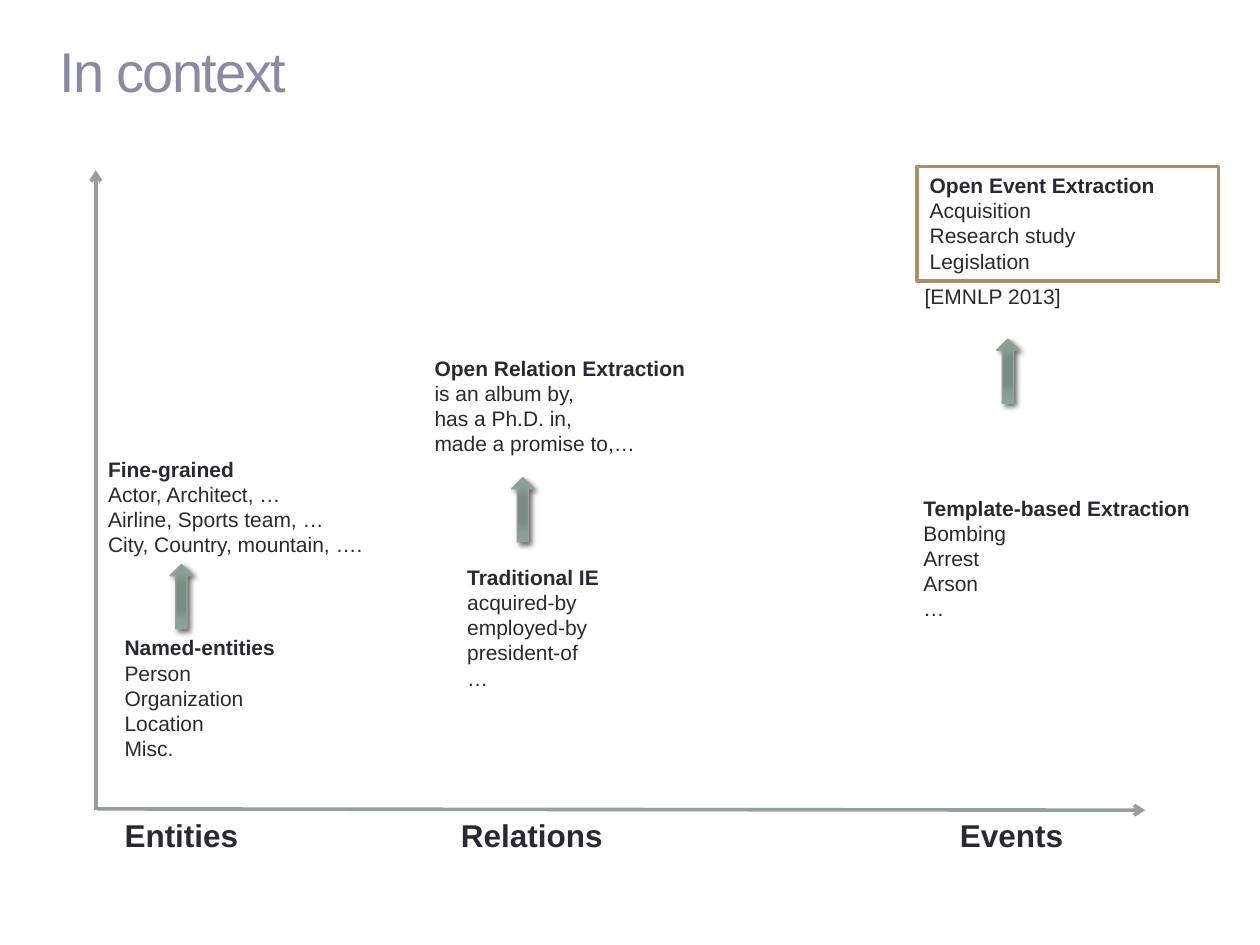
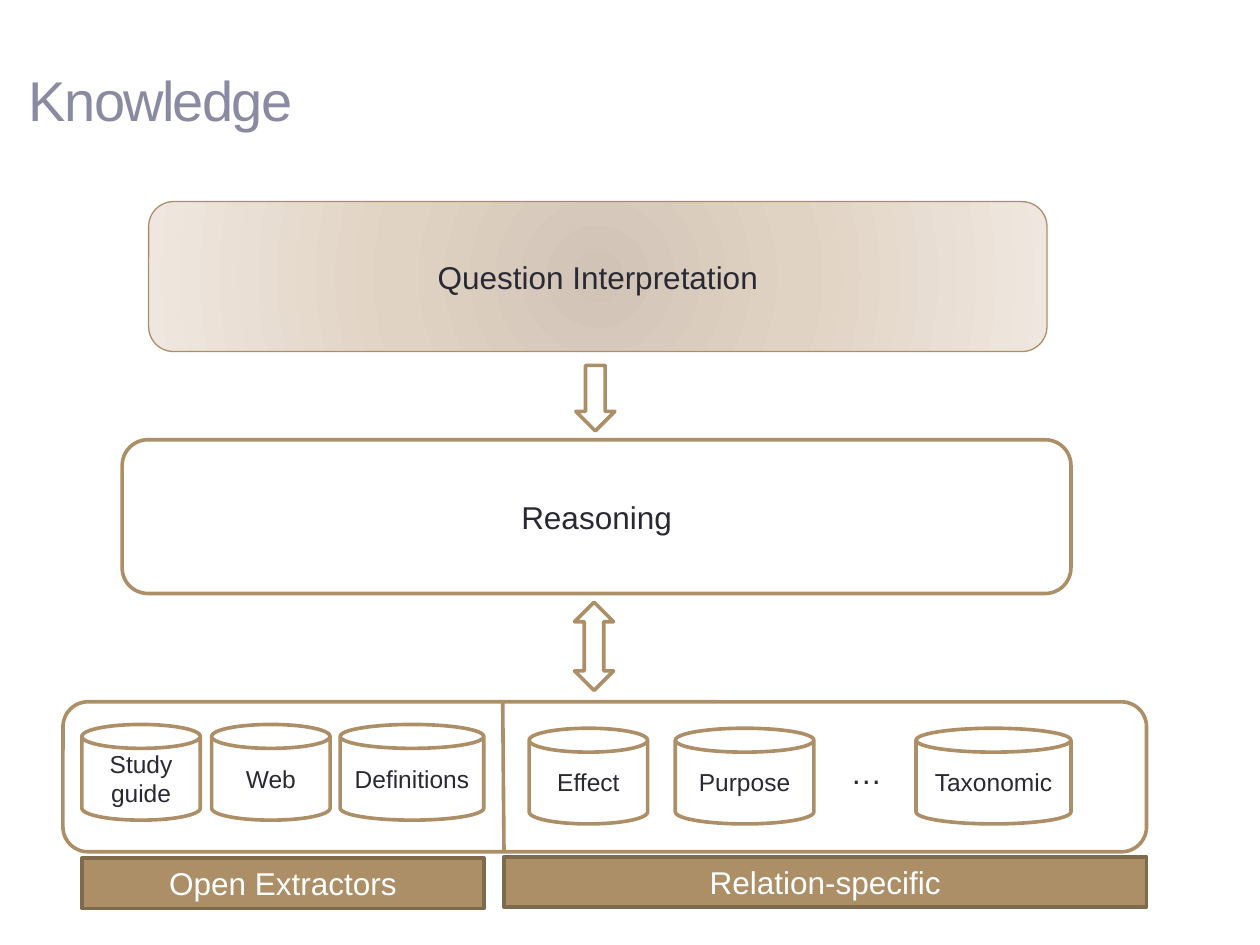
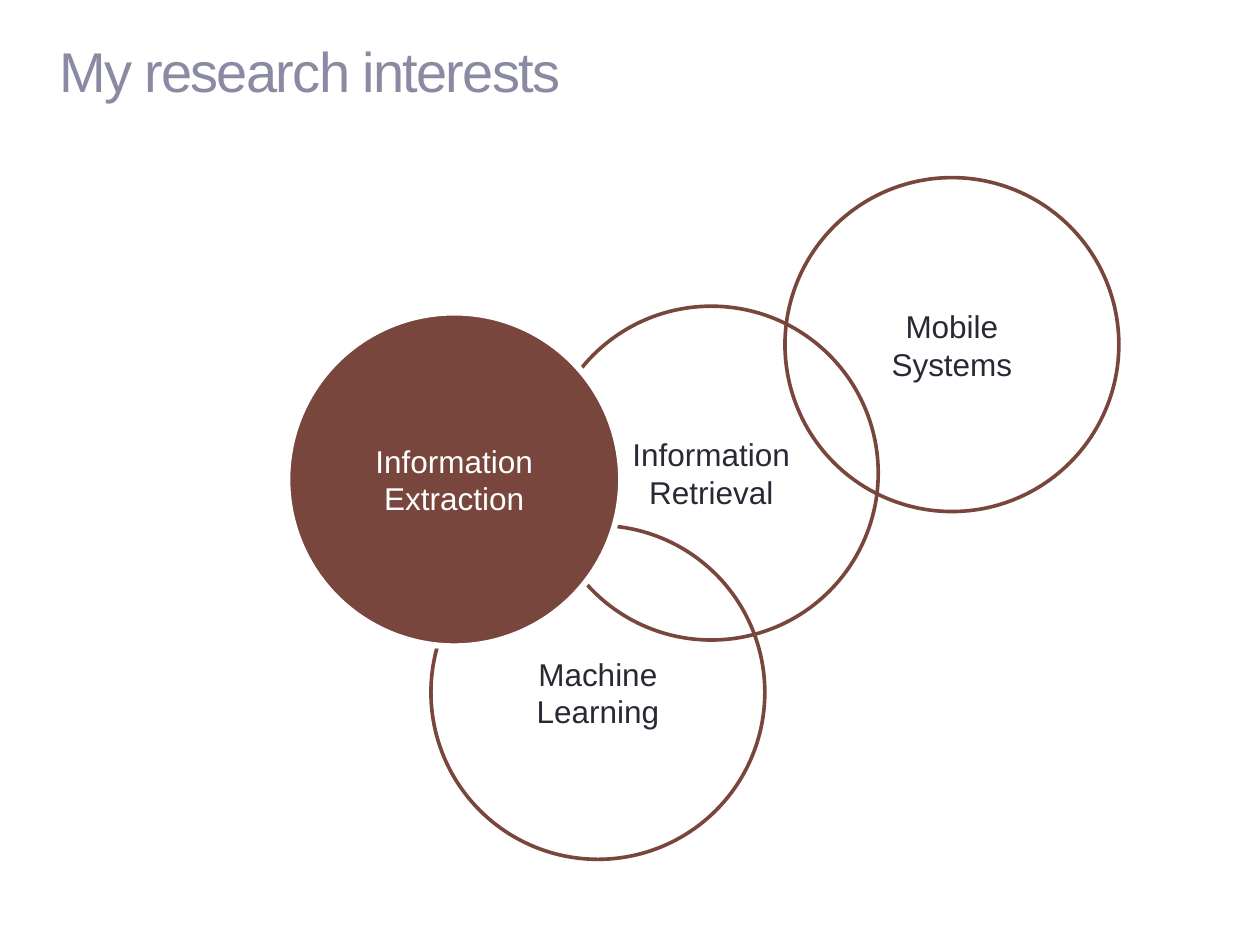
"""Build three slides on information extraction: context, knowledge and interests."""
from dataclasses import dataclass, field, replace
from typing import Any, Optional

from pptx import Presentation
from pptx.dml.color import RGBColor
from pptx.enum.shapes import MSO_CONNECTOR, MSO_SHAPE
from pptx.enum.text import MSO_ANCHOR, MSO_AUTO_SIZE, PP_ALIGN
from pptx.oxml import parse_xml
from pptx.oxml.ns import nsdecls, qn
from pptx.util import Inches, Pt

Stops = tuple[tuple[int, str], ...]


@dataclass(frozen=True)
class Theme:
    font: str = "Arial"
    title: str = "8A8AA3"
    text: str = "292934"
    white: str = "FFFFFF"
    sage: str = "93A299"
    tan: str = "AD8F67"
    dark_tan: str = "806A4C"
    brown: str = "79463D"
    title_size: float = 32
    label_size: float = 18
    can_size: float = 14
    note_size: float = 12
    line_width: float = 2.08
    thin_width: float = 0.75
    halo_width: float = 3.5
    sage_stops: Stops = ((0, "7B8E82"), (34, "7B8D83"), (70, "8A9E92"), (100, "93A299"))
    tan_stops: Stops = ((0, "D1C4B6"), (45, "E1D3C4"), (100, "EFE7DF"))


THEME = Theme()


@dataclass(frozen=True)
class Style:
    size: float = THEME.label_size
    color: str = THEME.text
    bold: bool = False
    bold_first: bool = False
    align: Any = PP_ALIGN.CENTER
    anchor: Any = MSO_ANCHOR.MIDDLE
    fill: Optional[str] = None
    stops: Stops = ()
    line: Optional[str] = None
    line_width: float = THEME.line_width
    shadow: bool = False


@dataclass(frozen=True)
class Box:
    left: float
    top: float
    width: float
    height: float
    lines: tuple[str, ...] = ()
    style: Style = field(default_factory=Style)
    shape: Any = None


@dataclass(frozen=True)
class Line:
    start: tuple[float, float]
    end: tuple[float, float]
    color: str
    arrow: bool = False


AXIS_LABEL = Style(bold=True, align=PP_ALIGN.LEFT, anchor=MSO_ANCHOR.TOP)
NOTE = replace(AXIS_LABEL, size=THEME.note_size, bold=False)
TOPIC = replace(NOTE, bold_first=True)
FRAMED_TOPIC = replace(TOPIC, fill=THEME.white, line=THEME.tan)
STEP_ARROW = Style(stops=THEME.sage_stops, line=THEME.sage, line_width=THEME.thin_width, shadow=True)
OUTLINED = Style(fill=THEME.white, line=THEME.tan)
CAN = replace(OUTLINED, size=THEME.can_size)
GLOW = Style(stops=THEME.tan_stops, line=THEME.tan, line_width=THEME.thin_width)
CAPTION = Style(color=THEME.white, fill=THEME.tan, line=THEME.dark_tan, anchor=MSO_ANCHOR.TOP)
RING = Style(line=THEME.brown)
DISC = Style(color=THEME.white, fill=THEME.brown, line=THEME.white, line_width=THEME.halo_width)


def rgb(value: str) -> RGBColor:
    return RGBColor.from_string(value)


def write_text(tf: Any, lines: tuple[str, ...], style: Style) -> None:
    frame_format = {
        "word_wrap": True,
        "auto_size": MSO_AUTO_SIZE.NONE,
        "vertical_anchor": style.anchor,
    }
    for name, value in frame_format.items():
        setattr(tf, name, value)
    for i, line in enumerate(lines):
        p = tf.paragraphs[0] if i == 0 else tf.add_paragraph()
        p.alignment = style.align
        r = p.add_run()
        r.text = line
        bold = style.bold or (style.bold_first and i == 0)
        run_format = {"name": THEME.font, "size": Pt(style.size), "bold": bold}
        for name, value in run_format.items():
            setattr(r.font, name, value)
        r.font.color.rgb = rgb(style.color)


def set_radial_fill(sp: Any, stops: Stops) -> None:
    marks = "".join(
        f'<a:gs pos="{pos * 1000}"><a:srgbClr val="{color}"/></a:gs>' for pos, color in stops
    )
    gradient = parse_xml(
        f'<a:gradFill rotWithShape="1" {nsdecls("a")}><a:gsLst>{marks}</a:gsLst>'
        '<a:path path="circle"><a:fillToRect l="100000" t="100000" r="100000" b="100000"/>'
        "</a:path></a:gradFill>"
    )
    sp.fill.background()
    properties = sp.element.spPr
    properties.replace(properties.find(qn("a:noFill")), gradient)


def add_shadow(sp: Any) -> None:
    sp.element.spPr.find(qn("a:effectLst")).append(parse_xml(
        f'<a:outerShdw {nsdecls("a")} blurRad="{Pt(3)}" dist="{Pt(2)}" dir="2700000" '
        'algn="tl" rotWithShape="0"><a:srgbClr val="000000"><a:alpha val="60000"/>'
        "</a:srgbClr></a:outerShdw>"
    ))


def draw_box(s: Any, box: Box) -> None:
    bounds = [Inches(v) for v in (box.left, box.top, box.width, box.height)]
    style = box.style
    if box.shape is None:
        sp = s.shapes.add_textbox(*bounds)
    else:
        sp = s.shapes.add_shape(box.shape, *bounds)
        sp.shadow.inherit = False
        if style.stops:
            set_radial_fill(sp, style.stops)
        elif style.fill:
            sp.fill.solid()
            sp.fill.fore_color.rgb = rgb(style.fill)
        else:
            sp.fill.background()
        sp.line.color.rgb = rgb(style.line)
        sp.line.width = Pt(style.line_width)
        if style.shadow:
            add_shadow(sp)
    if box.lines:
        write_text(sp.text_frame, box.lines, style)


def draw_line(s: Any, line: Line) -> None:
    ends = [Inches(v) for v in (*line.start, *line.end)]
    cxn = s.shapes.add_connector(MSO_CONNECTOR.STRAIGHT, *ends)
    cxn.line.color.rgb = rgb(line.color)
    cxn.line.width = Pt(THEME.line_width)
    if line.arrow:
        cxn.line._get_or_add_ln().append(
            parse_xml(f'<a:tailEnd type="arrow" {nsdecls("a")}/>')
        )
    cxn.element.spPr.append(parse_xml(f'<a:effectLst {nsdecls("a")}/>'))


def add_titled_slide(
    prs: Any,
    title: str,
    bounds: tuple[float, float, float, float] = (0.37, 0.02, 9.3, 1.08),
) -> Any:
    s = prs.slides.add_slide(prs.slide_layouts[5])
    sp = s.shapes.title
    for name, value in zip(("left", "top", "width", "height"), bounds):
        setattr(sp, name, Inches(value))
    style = Style(size=THEME.title_size, color=THEME.title, align=PP_ALIGN.LEFT)
    write_text(sp.text_frame, (title,), style)
    sp.text_frame.paragraphs[0].runs[0].font._element.set("spc", "-100")
    return s


def build_context(prs: Any) -> None:
    s = add_titled_slide(prs, "In context")
    for left, label in ((0.89, "Entities"), (3.56, "Relations"), (7.52, "Events")):
        draw_box(s, Box(left, 6.43, 1.48, 0.4, (label,), AXIS_LABEL))
    for start, end in (((0.76, 6.43), (0.76, 1.35)), ((0.77, 6.42), (9.09, 6.43))):
        draw_line(s, Line(start, end, THEME.sage, arrow=True))
    topics = (
        Box(0.89, 4.99, 1.73, 1.11,
            ("Named-entities", "Person", "Organization", "Location", "Misc."), TOPIC),
        Box(0.76, 3.57, 2.3, 0.91,
            ("Fine-grained", "Actor, Architect, …", "Airline, Sports team, …",
             "City, Country, mountain, …."), TOPIC),
        Box(3.61, 4.43, 1.34, 1.11,
            ("Traditional IE", "acquired-by", "employed-by", "president-of", "…"), TOPIC),
        Box(3.35, 2.77, 2.39, 0.91,
            ("Open Relation Extraction", "is an album by,", "has a Ph.D. in,",
             "made a promise to,…"), TOPIC),
        Box(7.28, 1.32, 2.39, 0.91,
            ("Open Event Extraction", "Acquisition", "Research study", "Legislation"),
            FRAMED_TOPIC, MSO_SHAPE.RECTANGLE),
        Box(7.23, 3.88, 2.39, 1.11,
            ("Template-based Extraction", "Bombing", "Arrest", "Arson", "…"), TOPIC),
        Box(7.24, 2.2, 2.02, 0.3, ("[EMNLP 2013]",), NOTE),
    )
    for topic in topics:
        draw_box(s, topic)
    for left, top in ((1.35, 4.48), (4.06, 3.79), (7.91, 2.69)):
        draw_box(s, Box(left, top, 0.18, 0.51, style=STEP_ARROW, shape=MSO_SHAPE.UP_ARROW))


def build_knowledge(prs: Any) -> None:
    s = add_titled_slide(prs, "Knowledge", (0.13, 0.34, 9.56, 0.89))
    rounded = MSO_SHAPE.ROUNDED_RECTANGLE
    layers = (
        Box(1.18, 1.6, 7.13, 1.19, ("Question Interpretation",), GLOW, rounded),
        Box(0.97, 3.49, 7.53, 1.22, ("Reasoning",), OUTLINED, rounded),
        Box(0.5, 5.57, 8.6, 1.19, (), OUTLINED, rounded),
        Box(4.57, 2.9, 0.31, 0.52, (), OUTLINED, MSO_SHAPE.DOWN_ARROW),
        Box(4.56, 4.78, 0.31, 0.7, (), OUTLINED, MSO_SHAPE.UP_DOWN_ARROW),
        Box(6.33, 5.93, 1.09, 0.4, ("…",), Style(anchor=MSO_ANCHOR.TOP)),
        Box(0.65, 6.81, 3.19, 0.4, ("Open Extractors",), CAPTION, MSO_SHAPE.RECTANGLE),
        Box(4, 6.8, 5.1, 0.4, ("Relation-specific",), CAPTION, MSO_SHAPE.RECTANGLE),
    )
    for layer in layers:
        draw_box(s, layer)
    stores = {
        5.75: ((0.65, 0.94, ("Study", "guide")), (1.68, 0.94, ("Web",)),
               (2.7, 1.14, ("Definitions",))),
        5.78: ((4.2, 0.94, ("Effect",)), (5.36, 1.1, ("Purpose",)),
               (7.27, 1.23, ("Taxonomic",))),
    }
    for top, cans in stores.items():
        for left, width, lines in cans:
            draw_box(s, Box(left, top, width, 0.76, lines, CAN, MSO_SHAPE.CAN))
    draw_line(s, Line((3.99, 5.57), (4, 6.76), THEME.tan))


def build_interests(prs: Any) -> None:
    s = add_titled_slide(prs, "My research interests")
    diameter = 2.65
    circles = (
        (6.23, 1.41, ("Mobile Systems",), RING),
        (3.42, 4.17, ("Machine Learning",), RING),
        (4.32, 2.43, ("Information Retrieval",), RING),
        (2.28, 2.48, ("Information", "Extraction"), DISC),
    )
    for left, top, lines, style in circles:
        draw_box(s, Box(left, top, diameter, diameter, lines, style, MSO_SHAPE.OVAL))


def main() -> None:
    prs = Presentation()
    prs.slide_width, prs.slide_height = Inches(10), Inches(7.5)
    for build in (build_context, build_knowledge, build_interests):
        build(prs)
    prs.save("out.pptx")


if __name__ == "__main__":
    main()
